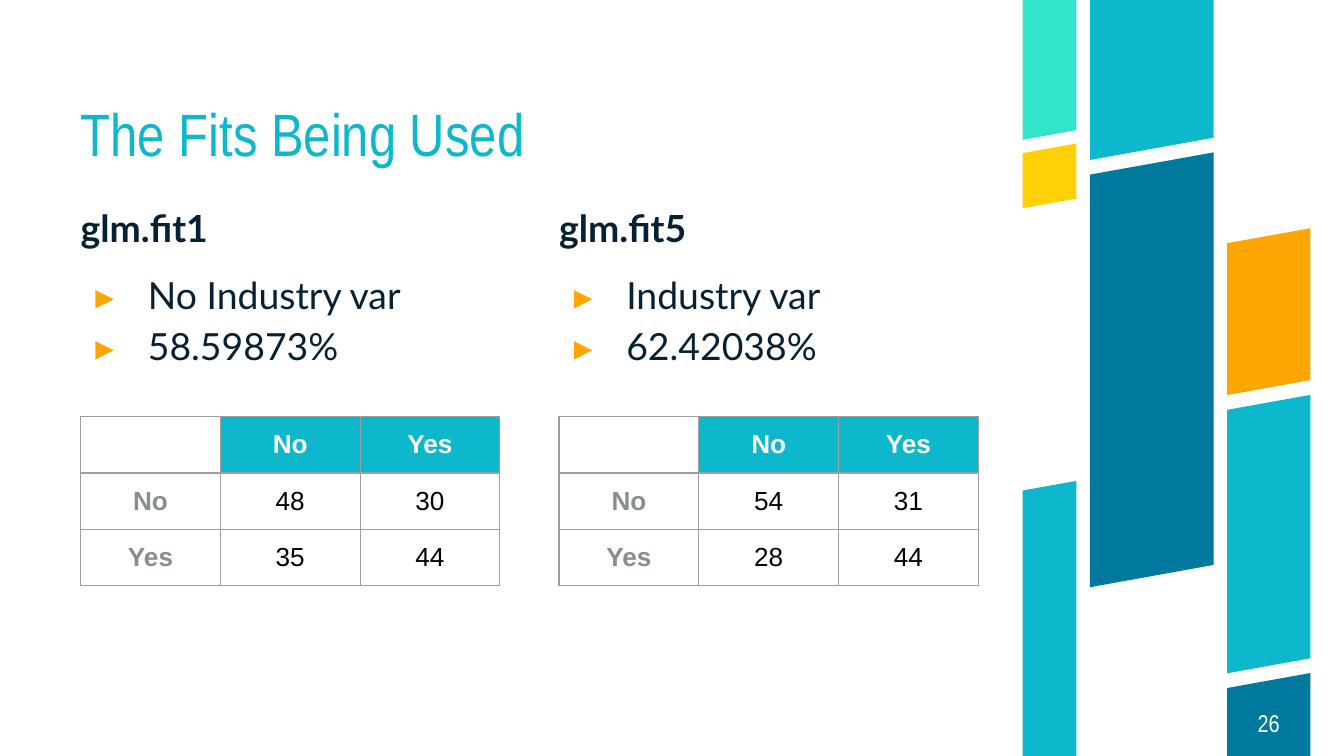
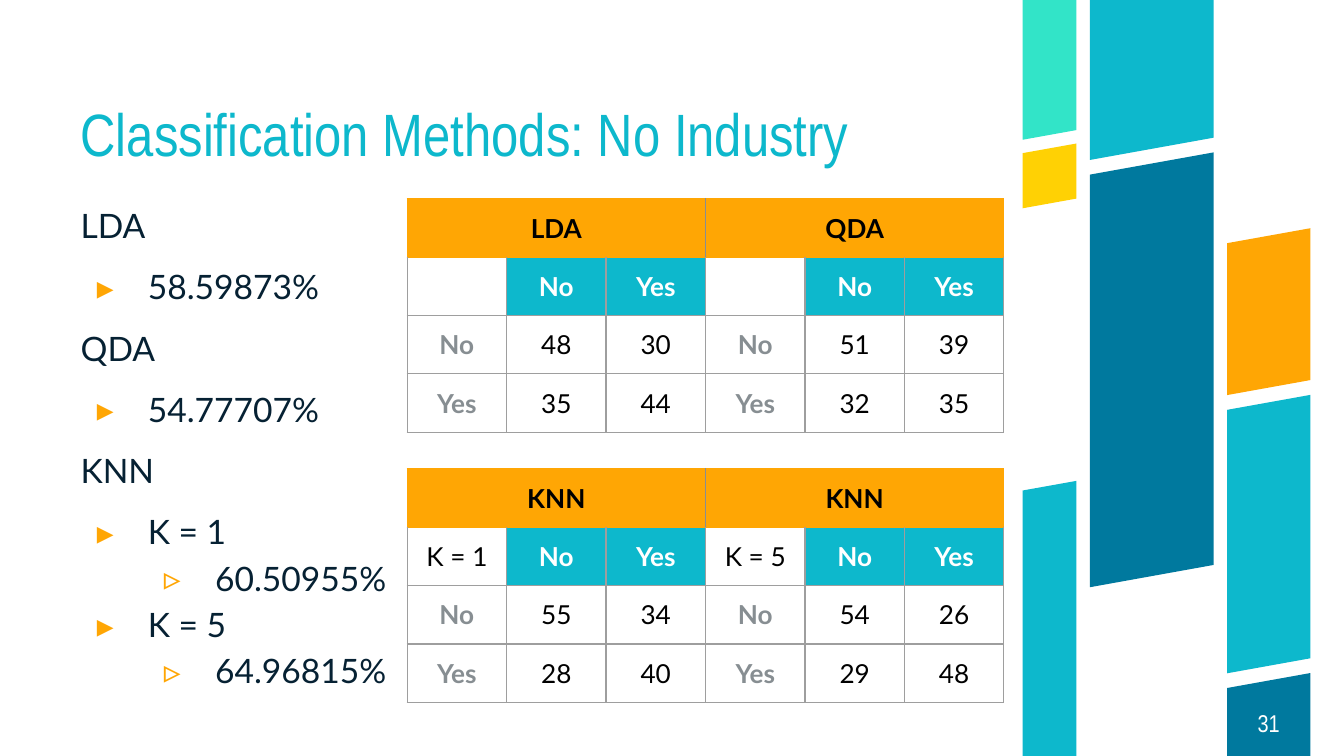
from lxml import etree
from pptx import Presentation
from pptx import util as u
from pptx.dml.color import RGBColor
from pptx.enum import text
from pptx.oxml import ns

COLORS = {
    "cyan": "0DB8CC", "blue": "00799E", "mint": "32E4C8", "yellow": "FFD104",
    "orange": "FFA604", "navy": "062133", "gray": "878E92", "border": "9E9E9E",
    "black": "000000", "white": "FFFFFF",
}
RGB = {name: RGBColor.from_string(value) for name, value in COLORS.items()}
BULLETS = {1: "▸", 2: "▹"}
WIDTH = 10
HEIGHT = WIDTH * 9 / 16
LEFT, BODY_TOP = 0.6, 1.48


def fill_body(body, lines, size, hang, bold_heads=False):
    """Write (depth, words) lines: depth 0 is a heading, 1 and 2 are bullets."""
    frame = body.text_frame
    frame.margin_left = frame.margin_top = frame.margin_right = frame.margin_bottom = 0
    frame.auto_size = text.MSO_AUTO_SIZE.NONE
    previous = None
    for depth, words in lines:
        para = frame.paragraphs[0] if previous is None else frame.add_paragraph()
        para.text = words
        para.level = max(depth - 1, 0)
        para.line_spacing = 1.15
        # Only headings and the first bullet below one are set apart
        apart = previous is not None and 0 in (depth, previous)
        para.space_before = u.Pt(8 if apart else 0)
        props = para._p.get_or_add_pPr()
        props.set("marL", str(u.Inches(0.5 * depth)))
        props.set("indent", str(-u.Inches(hang) if depth else 0))
        if depth:
            tint = etree.SubElement(props, ns.qn("a:buClr"))
            etree.SubElement(tint, ns.qn("a:srgbClr"), val=COLORS["orange"])
            etree.SubElement(props, ns.qn("a:buFont"), typeface="Lato")
            etree.SubElement(props, ns.qn("a:buChar"), char=BULLETS[depth])
        else:
            etree.SubElement(props, ns.qn("a:buNone"))
        para.font.name, para.font.size = "Lato", u.Pt(size)
        para.font.bold = bold_heads and depth == 0
        para.font.color.rgb = RGB["navy"]
        previous = depth


def add_confusion_matrix(page, left, top, column_width, row_height, font, counts,
                         caption=None, corner="", seam=None):
    """Add a 2 by 2 matrix; seam ("L" or "R") is the caption side with a gray edge."""
    rows = [[corner, "No", "Yes"], ["No", *counts[0]], ["Yes", *counts[1]]]
    if caption:
        rows.insert(0, ["", caption, ""])
    header = len(rows) - 3
    table = page.shapes.add_table(
        len(rows), 3, u.Inches(left), u.Inches(top),
        u.Inches(3 * column_width), u.Inches(len(rows) * row_height)).table
    table.first_row = table.horz_banding = False
    for column in table.columns:
        column.width = u.Inches(column_width)
    for r, values in enumerate(rows):
        table.rows[r].height = u.Inches(row_height)
        for c, value in enumerate(values):
            if r < header:
                fill, color, bold = "orange", "black", True
            elif r == header and c:
                fill, color, bold = "cyan", "white", True
            elif r > header and c == 0:
                fill, color, bold = "white", "gray", True
            else:
                fill, color, bold = "white", "black", False

            cell = table.cell(r, c)
            edges = dict.fromkeys("LRTB", "orange" if r < header else "border")
            if r < header and (seam, c) in (("L", 0), ("R", 2)):
                edges[seam] = "gray"
            if caption and r == header:
                edges["T"] = "orange"
            for side, edge in edges.items():
                line = etree.SubElement(cell._tc.get_or_add_tcPr(), ns.qn("a:ln" + side),
                                        w=str(u.Pt(0.75)))
                solid = etree.SubElement(line, ns.qn("a:solidFill"))
                etree.SubElement(solid, ns.qn("a:srgbClr"), val=COLORS[edge])
            cell.fill.solid()
            cell.fill.fore_color.rgb = RGB[fill]

            cell.margin_left = cell.margin_right = u.Inches(0.1)
            cell.margin_top = cell.margin_bottom = u.Inches(0.1 if value else 0)
            para = cell.text_frame.paragraphs[0]
            para.text = str(value)
            para.alignment = text.PP_ALIGN.CENTER
            para.font.name, para.font.size, para.font.bold = font, u.Pt(14), bold
            para.font.color.rgb = RGB[color]


deck = Presentation()
deck.slide_width, deck.slide_height = u.Inches(WIDTH), u.Inches(HEIGHT)
fits = deck.slides.add_slide(deck.slide_layouts.get_by_name("Two Content"))
methods = deck.slides.add_slide(deck.slide_layouts.get_by_name("Title and Content"))

# Slanted bands: left, right, then top and bottom along the left edge
BANDS = [
    (7.61, 8.01, 3.65, HEIGHT, "cyan"),
    (7.61, 8.01, 1.14, 1.55, "yellow"),
    (7.61, 8.01, 0, 1.04, "mint"),
    (8.11, 9.03, 1.3, 4.37, "blue"),
    (8.11, 9.03, 0, 1.19, "cyan"),
    (9.13, 9.75, 1.81, 2.94, "orange"),
    (9.13, 9.75, 5.12, HEIGHT, "blue"),
    (9.13, 9.75, 3.05, 5.01, "cyan"),
]
for left, right, top, bottom, color in BANDS:
    rise = 0.18 * (right - left)
    right_top = top - rise if top > 0 else top
    right_bottom = bottom - rise if bottom < HEIGHT else bottom
    corners = [(u.Inches(x), u.Inches(y)) for x, y in (
        (left, top), (right, right_top), (right, right_bottom), (left, bottom))]
    outline = fits.shapes.build_freeform(*corners[0])
    outline.add_line_segments(corners[1:], close=True)
    band = outline.convert_to_shape()
    band.shadow.inherit = False
    band.fill.solid()
    band.fill.fore_color.rgb = RGB[color]
    band.line.fill.background()
    deck.slide_master.shapes.element.append(band.element)  # shared by all slides

for page, heading, number in ((fits, "The Fits Being Used", 26),
                              (methods, "Classification Methods: No Industry", 31)):
    title = page.shapes.title
    title.left, title.top = u.Inches(LEFT), u.Inches(0.83)
    title.width, title.height = u.Inches(6.68), u.Inches(0.43)
    number_box = page.shapes.add_textbox(u.Inches(9.13), u.Inches(5.13),
                                         u.Inches(0.62), u.Inches(0.5))
    for box, words, size, color, anchor, align in (
            (title, heading, 32, "cyan", "BOTTOM", "LEFT"),
            (number_box, str(number), 13, "white", "MIDDLE", "CENTER")):
        frame = box.text_frame
        frame.margin_left = frame.margin_top = frame.margin_right = frame.margin_bottom = 0
        frame.word_wrap = True
        frame.auto_size = text.MSO_AUTO_SIZE.NONE
        frame.vertical_anchor = text.MSO_ANCHOR[anchor]
        para = frame.paragraphs[0]
        para.text = words
        para.alignment = text.PP_ALIGN[align]
        para.line_spacing = 0.9 if box is title else 1.0
        para.font.name, para.font.size = "Arial Narrow", u.Pt(size)
        para.font.color.rgb = RGB[color]

FITS = [
    ("glm.fit1", "No Industry var", "58.59873%", [(48, 30), (35, 44)]),
    ("glm.fit5", "Industry var", "62.42038%", [(54, 31), (28, 44)]),
]
for i, (name, variables, accuracy, counts) in enumerate(FITS):
    left = LEFT + 3.56 * i
    body = fits.placeholders[i + 1]
    body.left, body.top = u.Inches(left), u.Inches(BODY_TOP)
    body.width, body.height = u.Inches(3.12), u.Inches(1.45)
    fill_body(body, [(0, name), (1, variables), (1, accuracy)], 20, 0.39, bold_heads=True)
    add_confusion_matrix(fits, left, 3.1, 1.04, 0.42, "Arial", counts)

body = methods.placeholders[1]
body.left, body.top = u.Inches(LEFT), u.Inches(BODY_TOP)
body.width, body.height = u.Inches(2.43), u.Inches(3.74)
fill_body(body, [
    (0, "LDA"), (1, "58.59873%"),
    (0, "QDA"), (1, "54.77707%"),
    (0, "KNN"), (1, "K = 1"), (2, "60.50955%"), (1, "K = 5"), (2, "64.96815%"),
], 18, 0.38)

METHODS = [
    ("LDA", "", [(48, 30), (35, 44)]),
    ("QDA", "", [(51, 39), (32, 35)]),
    ("KNN", "K = 1", [(55, 34), (28, 40)]),
    ("KNN", "K = 5", [(54, 26), (29, 48)]),
]
for i, (caption, corner, counts) in enumerate(METHODS):
    row, column = divmod(i, 2)
    add_confusion_matrix(methods, 3.03 + 2.22 * column, BODY_TOP + 2.01 * row, 0.74, 0.43,
                         "Lato", counts, caption, corner, seam="RL"[column])

deck.save("out.pptx")
